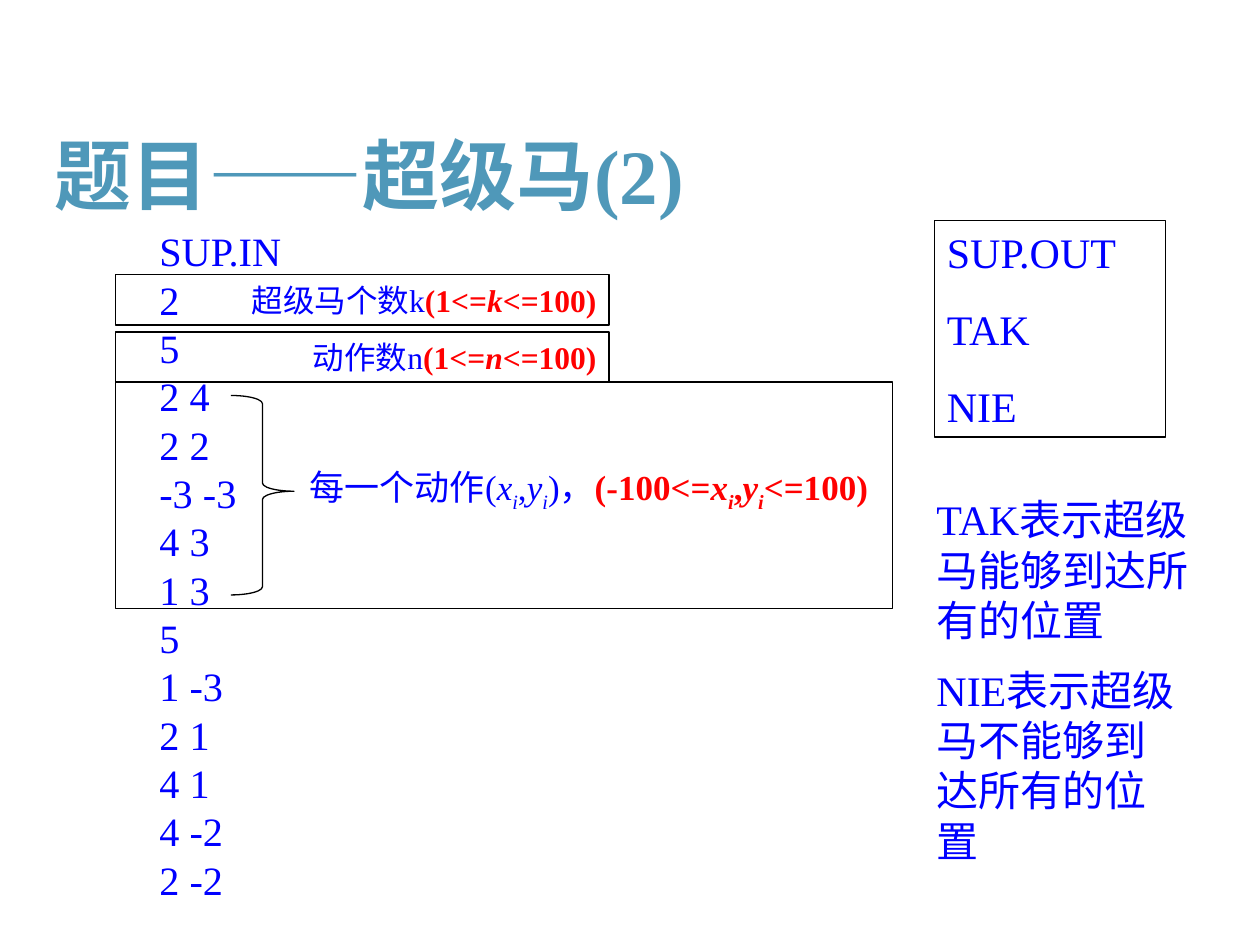
from pptx import Presentation
from pptx.dml.color import RGBColor
from pptx.enum.shapes import MSO_SHAPE as Shape
from pptx.enum.text import MSO_ANCHOR as Anchor, MSO_AUTO_SIZE as Fit, PP_ALIGN as Align
from pptx.util import Pt

FONT = "Times New Roman"
BLUE, RED, TEAL, BLACK = "0000FF", "FF0000", "4F98B9", "000000"


def paint(target, color):
    target.rgb = RGBColor.from_string(color)


def place(shape, x, y, w, h):
    shape.left, shape.top, shape.width, shape.height = Pt(x), Pt(y), Pt(w), Pt(h)


def add_run(para, text, marks=""):
    """Marks: r red and bold, i italic, s subscript."""
    run = para.add_run()
    run.text = text
    if "r" in marks:
        run.font.bold = True
        paint(run.font.color, RED)
    if "i" in marks:
        run.font.italic = True
    if "s" in marks:
        run._r.get_or_add_rPr().set("baseline", "-25000")


def write(shape, lines, size, color=BLUE, align=Align.LEFT, gap=0,
          anchor=Anchor.TOP, wrap=True, bold=False):
    """Each line is a string or a list of (text, marks) pairs."""
    frame = shape.text_frame
    frame.auto_size = Fit.NONE
    frame.word_wrap = wrap
    frame.vertical_anchor = anchor
    for i, line in enumerate(lines):
        para = frame.add_paragraph() if i else frame.paragraphs[0]
        para.alignment = align
        para.line_spacing = Pt(round(size * 1.2, 1))
        para.space_before = Pt(gap if i else 0)
        font = para.font
        font.name, font.size, font.bold = FONT, Pt(size), bold
        paint(font.color, color)
        for run in [(line, "")] if isinstance(line, str) else line:
            add_run(para, *run)


def add_text(slide, box, lines, size, **style):
    text = slide.shapes.add_textbox(*map(Pt, box))
    write(text, lines, size, **style)


def add_frame(slide, box, kind=Shape.RECTANGLE):
    frame = slide.shapes.add_shape(kind, *map(Pt, box))
    frame.shadow.inherit = False
    frame.fill.background()
    paint(frame.line.color, BLACK)
    frame.line.width = Pt(0.75)
    return frame


def add_title(slide, box):
    title = slide.shapes.title
    place(title, *box)
    write(title, ["题目——超级马(2)"], 44, color=TEAL, anchor=Anchor.MIDDLE, bold=True)


def add_input(slide, x, y):
    """Sample input with its framed explanations."""
    data = ["SUP.IN", "2", "5", "2 4", "2 2", "-3 -3", "4 3", "1 3",
            "5", "1 -3", "2 1", "4 1", "4 -2", "2 -2"]
    add_text(slide, (x + 18, y, 114, 394), data, 23)

    counts = [("超级马个数", "k", 31), ("动作数", "n", 63.8)]
    for label, name, drop in counts:
        frame = add_frame(slide, (x, y + drop, 282, 28.8))
        line = [(label + name, ""), ("(1<=", "r"), (name, "ri"), ("<=100)", "r")]
        write(frame, [line], 18, align=Align.RIGHT)

    add_frame(slide, (x, y + 92.3, 444, 129.6))
    pair = [("x", "i"), ("i", "is"), (",", ""), ("y", "i"), ("i", "is")]
    red = [(text, marks + "r") for text, marks in pair]
    line = [("每一个动作(", ""), *pair, (")，", ""),
            ("(-100<=", "r"), *red, ("<=100)", "r")]
    add_text(slide, (x + 96.5, y + 139.7, 348, 34.6), [line], 20,
             align=Align.CENTER, wrap=False)

    brace = add_frame(slide, (x + 66, y + 100, 36, 114), Shape.RIGHT_BRACE)
    brace.adjustments[0], brace.adjustments[1] = 0.13, 0.48


def add_output(slide, x, y):
    """Sample output with the meaning of each answer."""
    frame = add_frame(slide, (x, y, 132, 123.8))
    write(frame, ["SUP.OUT", "TAK", "NIE"], 24, gap=15)
    add_text(slide, (x - 6, y + 152.6, 174, 93.6), ["TAK表示超级马能够到达所有的位置"], 24)
    add_text(slide, (x - 6, y + 250, 156, 122.4), ["NIE表示超级马不能够到达所有的位置"], 24)


def main():
    deck = Presentation()
    deck.slide_width, deck.slide_height = Pt(720), Pt(540)
    slide = deck.slides.add_slide(deck.slide_layouts[5])
    add_title(slide, (24, 54, 672, 90))
    add_input(slide, 66, 126)
    add_output(slide, 534, 126)
    deck.save("out.pptx")


if __name__ == "__main__":
    main()
